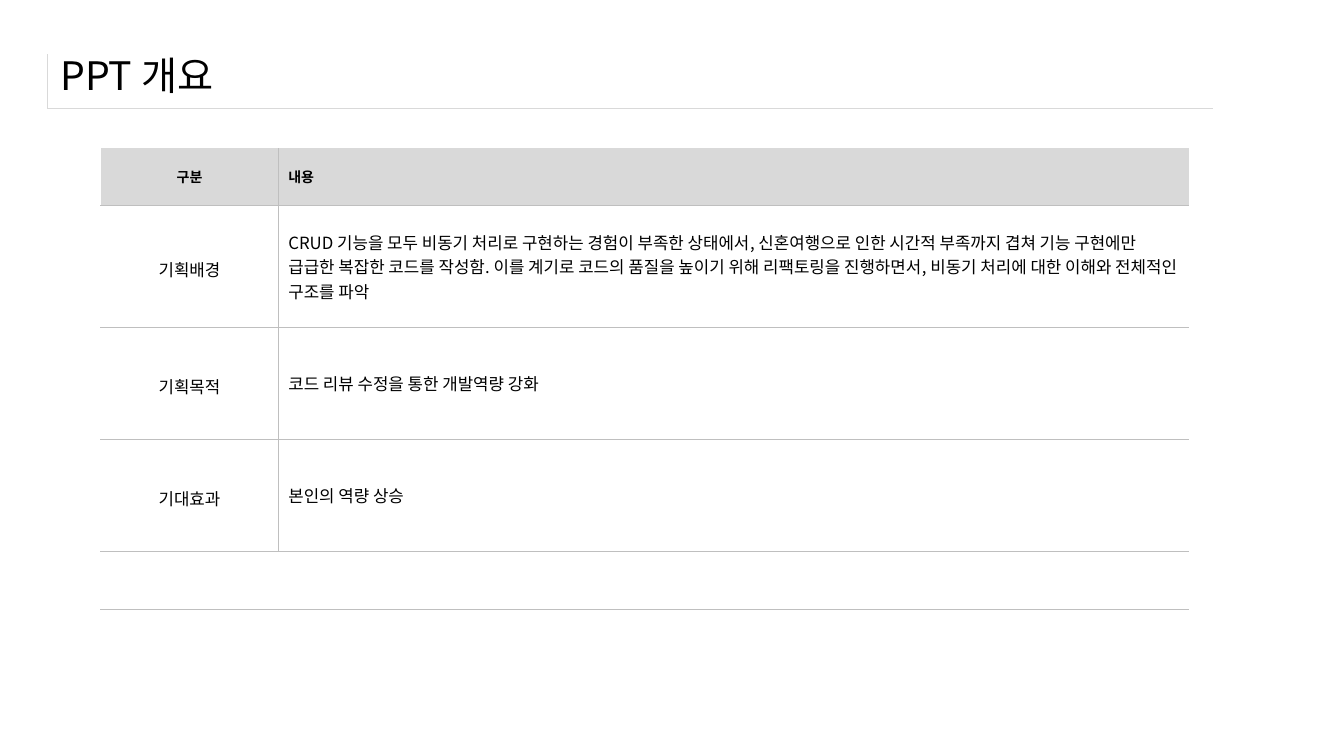
import pptx
import pptx.util
import pptx.dml.color
import pptx.enum.text
from lxml import etree
from pptx.oxml.ns import qn

# Content
TITLE = "PPT 개요"
HEADER = ("구분", "내용")
TOPICS = [
    ("기획배경", "CRUD 기능을 모두 비동기 처리로 구현하는 경험이 부족한 상태에서, "
                 "신혼여행으로 인한 시간적 부족까지 겹쳐 기능 구현에만 급급한 복잡한 코드를 작성함. "
                 "이를 계기로 코드의 품질을 높이기 위해 리팩토링을 진행하면서, "
                 "비동기 처리에 대한 이해와 전체적인 구조를 파악"),
    ("기획목적", "코드 리뷰 수정을 통한 개발역량 강화"),
    ("기대효과", "본인의 역량 상승"),
]

# Format
COLORS = {"text": "000000", "header": "D9D9D9", "frame": "D9D9D9",
          "rule": "BFBFBF", "edge": "FFFFFF"}
KOREAN, LATIN = "Noto Sans CJK KR", "Arial"
TITLE_FONT = {"size": 28, "name": KOREAN}
HEADER_FONT = {"size": 10, "name": KOREAN, "bold": True}
LABEL_FONT = {"size": 12, "name": LATIN, "bold": False}
BODY_FONT = {"size": 12, "name": KOREAN, "bold": False}
PLAIN_TABLE = "{2D5ABB26-0587-4C30-8999-92F81FD0307C}"
MIDDLE = pptx.enum.text.MSO_ANCHOR.MIDDLE
CENTER = pptx.enum.text.PP_ALIGN.CENTER

# Grid, in inches
FRAME_AT, FRAME_COLUMNS, FRAME_ROWS = (0.47, 0.54), [11.56], [0.53]
TITLE_BOX = (0.5, 0.41, 12.49, 0.67)
OVERVIEW_AT, OVERVIEW_COLUMNS = (1, 1.47), [1.76, 9.03]
OVERVIEW_ROWS = [0.57, 1.21, 1.11, 1.11, 0.57]

inch = pptx.util.Inches


def write(frame, text, font, **paragraph_format):
    frame.word_wrap = True
    paragraph = frame.paragraphs[0]
    for key, value in paragraph_format.items():
        setattr(paragraph, key, value)
    run = paragraph.add_run()
    run.text = text
    for key, value in font.items():
        setattr(run.font, key, pptx.util.Pt(value) if key == "size" else value)
    run.font.color.rgb = pptx.dml.color.RGBColor.from_string(COLORS["text"])
    latin = run.font._element.find(qn("a:latin"))
    latin.addnext(etree.Element(qn("a:ea"), typeface=KOREAN))


def add_grid(slide, at, columns, rows):
    size = (sum(columns), sum(rows))
    graphic = slide.shapes.add_table(len(rows), len(columns), *map(inch, at + size))
    table = graphic.table
    table.first_row = table.horz_banding = False
    table._tbl.tblPr.find(qn("a:tableStyleId")).text = PLAIN_TABLE
    for column, width in zip(table.columns, columns):
        column.width = inch(width)
    for row, height in zip(table.rows, rows):
        row.height = inch(height)
    return table


def style_cell(cell, borders, fill=None):
    cell.vertical_anchor = MIDDLE
    properties = cell._tc.get_or_add_tcPr()
    for side in "LRTB":
        if side in borders:
            color, width = borders[side]
            line = etree.SubElement(properties, qn("a:ln" + side),
                                    w=str(pptx.util.Pt(width)))
            solid = etree.SubElement(line, qn("a:solidFill"))
            etree.SubElement(solid, qn("a:srgbClr"), val=COLORS[color])
    if fill:
        cell.fill.solid()
        cell.fill.fore_color.rgb = pptx.dml.color.RGBColor.from_string(COLORS[fill])
    else:
        cell.fill.background()


def main():
    deck = pptx.Presentation()
    deck.slide_width, deck.slide_height = inch(13.33), inch(7.5)
    slide = deck.slides.add_slide(deck.slide_layouts[6])

    # Title with its corner frame
    corner = add_grid(slide, FRAME_AT, FRAME_COLUMNS, FRAME_ROWS)
    style_cell(corner.cell(0, 0), {"L": ("frame", 0.25), "B": ("frame", 0.25)})
    title = slide.shapes.add_textbox(*map(inch, TITLE_BOX)).text_frame
    title.vertical_anchor = MIDDLE
    write(title, TITLE, TITLE_FONT)

    # Overview table: the last row is one empty merged cell
    overview = add_grid(slide, OVERVIEW_AT, OVERVIEW_COLUMNS, OVERVIEW_ROWS)
    last = len(OVERVIEW_ROWS) - 1
    overview.cell(last, 0).merge(overview.cell(last, 1))
    rule = ("rule", 0.25)
    for row in range(last + 1):
        for column in range(2):
            borders = {"B": rule}
            if row:
                borders["T"] = rule
            if column == 0:
                borders["L"] = ("edge", 1)
            if row < last:
                borders["L" if column else "R"] = rule
            style_cell(overview.cell(row, column), borders, None if row else "header")

    # Wording
    for row, (label, body) in enumerate([HEADER] + TOPICS):
        label_format = {"alignment": CENTER}
        if row:
            label_format["line_spacing"] = 1.2
        write(overview.cell(row, 0).text_frame, label,
              LABEL_FONT if row else HEADER_FONT, **label_format)
        write(overview.cell(row, 1).text_frame, body, BODY_FONT if row else HEADER_FONT)

    deck.save("out.pptx")


if __name__ == "__main__":
    main()
